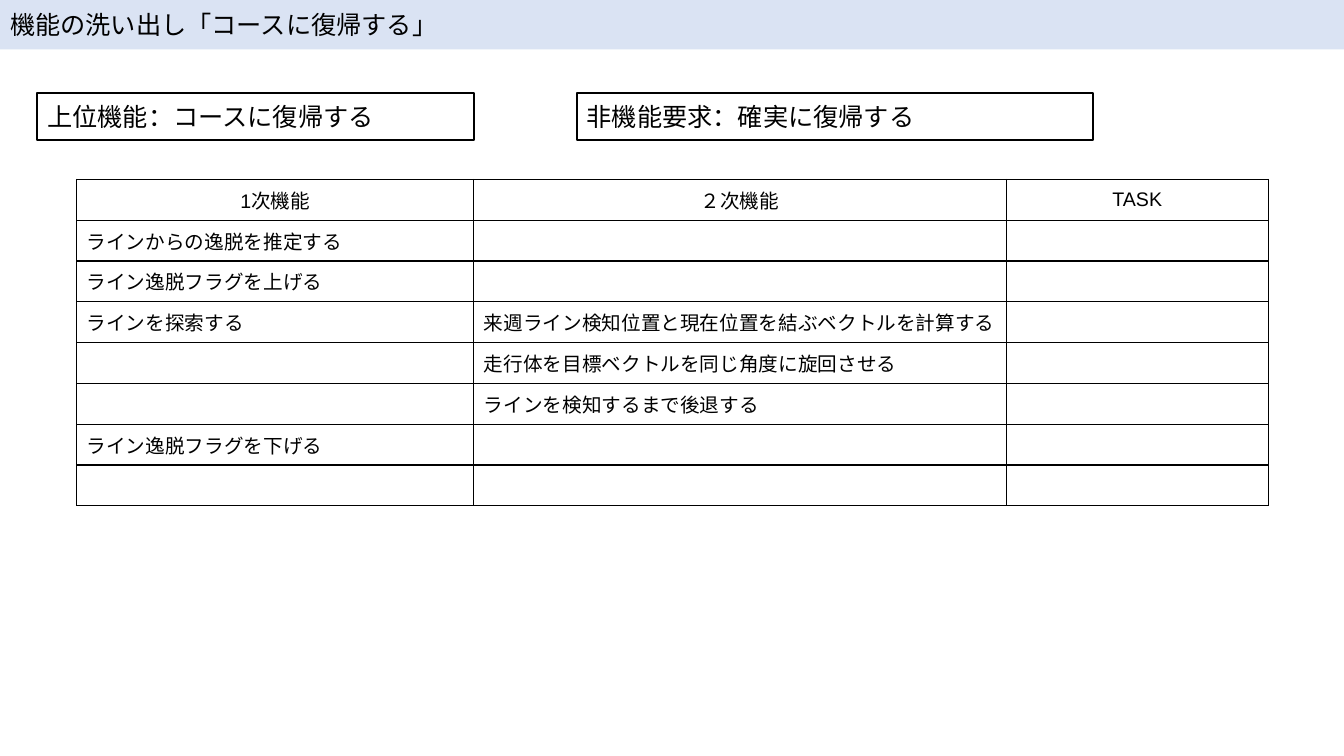
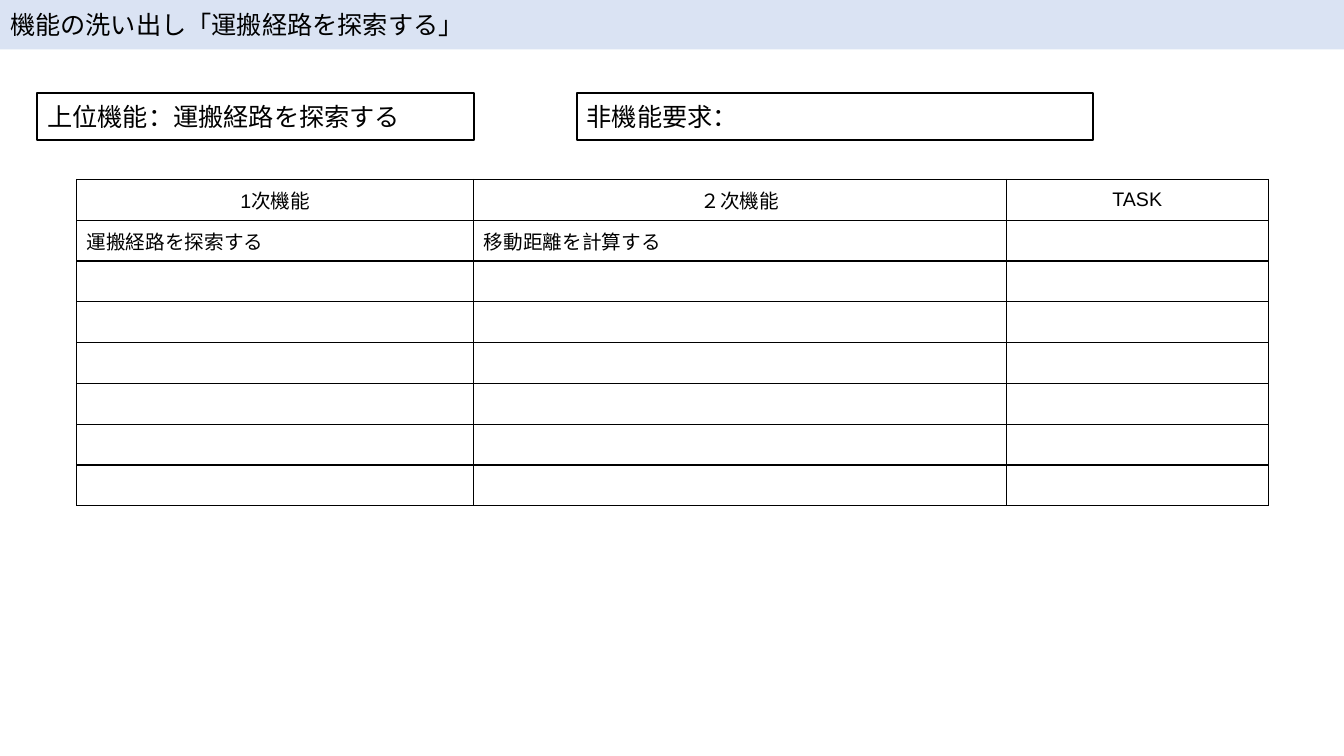
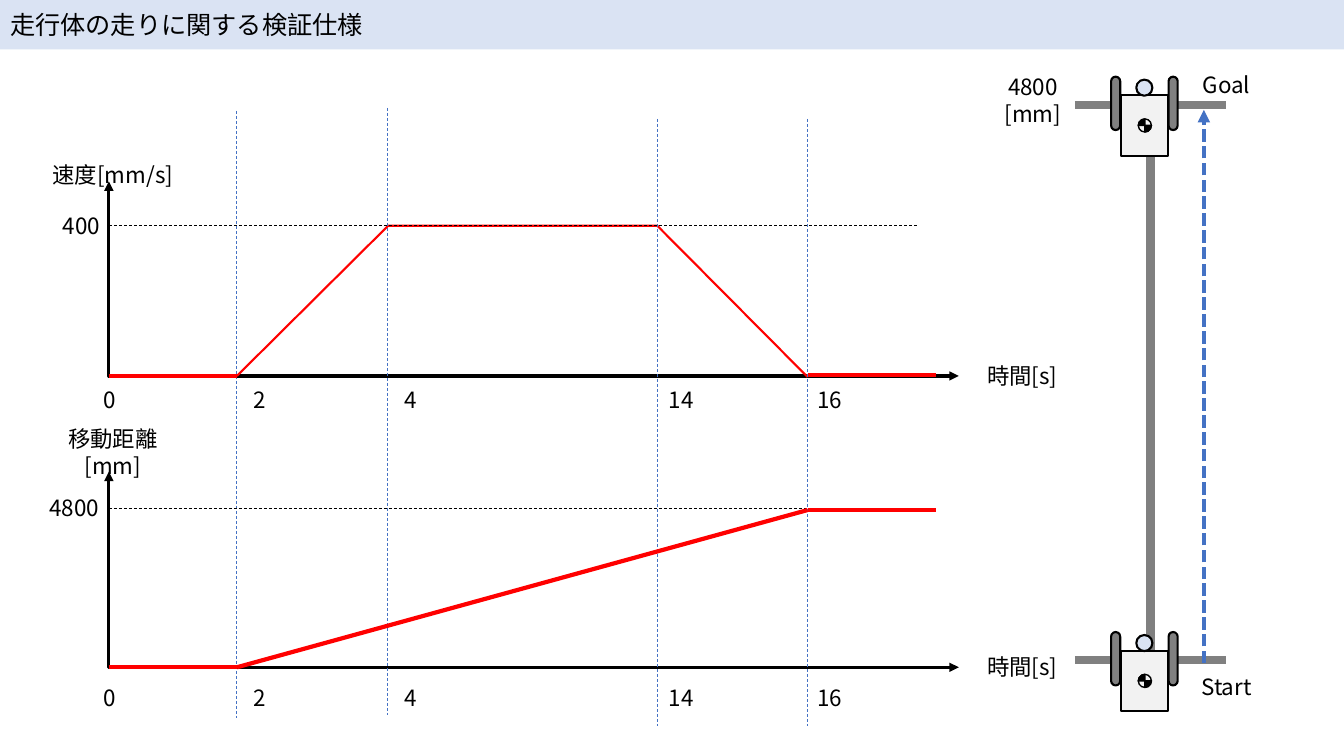
"""Build three slides: two function breakdown tables and a run verification chart."""
from lxml import etree
from pptx import Presentation
from pptx.dml.color import RGBColor
from pptx.enum import dml, shapes, text
from pptx.oxml import ns
from pptx.util import Inches, Pt

BLACK = RGBColor(0x00, 0x00, 0x00)
WHITE = RGBColor(0xFF, 0xFF, 0xFF)
PALE_BLUE = RGBColor(0xDA, 0xE3, 0xF3)
BLUE = RGBColor(0x44, 0x72, 0xC4)
RED = RGBColor(0xFF, 0x00, 0x00)
GRAY = RGBColor(0x80, 0x80, 0x80)
PALE_GRAY = RGBColor(0xF2, 0xF2, 0xF2)
JAPANESE_FONT = "Noto Sans CJK JP"
TABLE_FONT = "Arial"
LEFT, CENTER, RIGHT = text.PP_ALIGN.LEFT, text.PP_ALIGN.CENTER, text.PP_ALIGN.RIGHT
MIDDLE = text.MSO_ANCHOR.MIDDLE
DASH, SHORT_DASH = dml.MSO_LINE.DASH, dml.MSO_LINE.SQUARE_DOT


def write(frame, content, size, alignment=LEFT, font_name=JAPANESE_FONT):
    frame_format = {"word_wrap": True, "auto_size": text.MSO_AUTO_SIZE.NONE, "vertical_anchor": MIDDLE}
    for name, value in frame_format.items():
        setattr(frame, name, value)
    frame.text = content
    for paragraph in frame.paragraphs:
        paragraph.alignment = alignment
        for run in paragraph.runs:
            for name, value in {"size": Pt(size), "name": font_name}.items():
                setattr(run.font, name, value)
            run.font.color.rgb = BLACK
            etree.SubElement(run.font._element, ns.qn("a:ea"), typeface=JAPANESE_FONT)


def stroke(shape, color, width, dash=None, ends=()):
    shape.line.color.rgb = color
    shape.line.width = Pt(width)
    if dash:
        shape.line.dash_style = dash
    properties = shape._element.spPr
    for end in ends:
        etree.SubElement(properties.find(ns.qn("a:ln")), ns.qn(f"a:{end}"), type="triangle")
    etree.SubElement(properties, ns.qn("a:effectLst"))


presentation = Presentation()
presentation.slide_width = Inches(13.33)
presentation.slide_height = Inches(7.5)

titles = ["機能の洗い出し「コースに復帰する」", "機能の洗い出し「運搬経路を探索する」", "走行体の走りに関する検証仕様"]
title_box = {"left": 0, "top": 0, "width": Inches(13.33), "height": Inches(0.49)}
for title in titles:
    slide = presentation.slides.add_slide(presentation.slide_layouts[5])
    band = slide.shapes.title
    for name, value in title_box.items():
        setattr(band, name, value)
    band.fill.solid()
    band.fill.fore_color.rgb = PALE_BLUE
    write(band.text_frame, title, 18)

HEADER = ["1次機能", "２次機能", "TASK"]
ROW_COUNT = 8
COLUMN_WIDTHS = [3.94, 5.28, 2.6]
breakdowns = [
    ("上位機能：コースに復帰する", "非機能要求：確実に復帰する", [
        ["ラインからの逸脱を推定する"],
        ["ライン逸脱フラグを上げる"],
        ["ラインを探索する", "来週ライン検知位置と現在位置を結ぶベクトルを計算する"],
        ["", "走行体を目標ベクトルを同じ角度に旋回させる"],
        ["", "ラインを検知するまで後退する"],
        ["ライン逸脱フラグを下げる"],
    ]),
    ("上位機能：運搬経路を探索する", "非機能要求：", [["運搬経路を探索する", "移動距離を計算する"]]),
]
for slide, (function, requirement, rows) in zip(presentation.slides, breakdowns):
    frame = slide.shapes.add_table(
        ROW_COUNT, len(HEADER), Inches(0.76), Inches(1.78), Inches(sum(COLUMN_WIDTHS)), Inches(3.24))
    table = frame.table
    table.first_row = table.horz_banding = False
    for column, width in zip(table.columns, COLUMN_WIDTHS):
        column.width = Inches(width)
    contents = {(r, c): value for r, row in enumerate([HEADER] + rows) for c, value in enumerate(row)}
    for r in range(ROW_COUNT):
        for c in range(len(HEADER)):
            cell = table.cell(r, c)
            content = contents.get((r, c), "")
            write(cell.text_frame, content, 14, LEFT if r else CENTER, TABLE_FONT)
            if not content:
                etree.SubElement(cell.text_frame.paragraphs[0]._p, ns.qn("a:endParaRPr"), sz="1400")
            cell.vertical_anchor = MIDDLE
            cell_properties = cell._tc.get_or_add_tcPr()
            for side in ("lnL", "lnR", "lnT", "lnB"):
                border = etree.SubElement(cell_properties, ns.qn(f"a:{side}"), w=str(Pt(1)))
                border_fill = etree.SubElement(border, ns.qn("a:solidFill"))
                etree.SubElement(border_fill, ns.qn("a:srgbClr"), val=str(BLACK))
            cell.fill.solid()
            cell.fill.fore_color.rgb = WHITE
    for left, width, content in [(0.37, 4.33, function), (5.72, 5.12, requirement)]:
        box = slide.shapes.add_shape(
            shapes.MSO_SHAPE.RECTANGLE, Inches(left), Inches(0.92), Inches(width), Inches(0.47))
        box.fill.solid()
        box.fill.fore_color.rgb = WHITE
        stroke(box, BLACK, 1.5)
        write(box.text_frame, content, 18)

slide = presentation.slides[2]
AXIS_X, SPEED_Y, DISTANCE_Y = 1.08, 3.73, 6.62
both_ends = ("headEnd", "tailEnd")
polylines = [
    ([(AXIS_X, 1.8), (AXIS_X, SPEED_Y), (9.51, SPEED_Y)], BLACK, 2.25, both_ends),
    ([(AXIS_X, 4.68), (AXIS_X, DISTANCE_Y), (9.51, DISTANCE_Y)], BLACK, 2.25, both_ends),
    ([(2.35, SPEED_Y), (3.85, 2.24), (6.52, 2.24), (8.01, 3.74)], RED, 1.5, ()),
]
for points, color, width, ends in polylines:
    start, *others = [(Inches(x), Inches(y)) for x, y in points]
    builder = slide.shapes.build_freeform(*start)
    builder.add_line_segments(others, close=False)
    polyline = builder.convert_to_shape()
    polyline.fill.background()
    stroke(polyline, color, width, ends=ends)

time_marks = [(2.34, 1.1), (3.84, 1.07), (6.52, 1.18), (8.01, 1.18)]
lines = [(x, top, x, top + 6.02, BLUE, 0.5, DASH) for x, top in time_marks]
lines += [(AXIS_X, y, 9.11, y, BLACK, 0.5, DASH) for y in (2.24, 5.04)]
lines += [(*ends, RED, 3, None) for ends in [
    (AXIS_X, SPEED_Y, 2.35, SPEED_Y),
    (8.01, 3.72, 9.28, 3.72),
    (AXIS_X, DISTANCE_Y, 2.35, DISTANCE_Y),
    (2.35, DISTANCE_Y, 8.01, 5.06),
    (8.01, 5.06, 9.28, 5.06),
]]
lines += [(*ends, GRAY, 6, None) for ends in [
    (11.41, 6.58, 11.41, 1.03), (10.66, 6.55, 12.16, 6.55), (10.66, 1.04, 12.16, 1.04)]]
lines.append((11.94, 6.58, 11.94, 1.09, BLUE, 3, SHORT_DASH))
for x1, y1, x2, y2, color, width, dash in lines:
    line = slide.shapes.add_connector(
        shapes.MSO_CONNECTOR.STRAIGHT, Inches(x1), Inches(y1), Inches(x2), Inches(y2))
    stroke(line, color, width, dash, ("tailEnd",) if dash == SHORT_DASH else ())

RECTANGLE, PIE = shapes.MSO_SHAPE.RECTANGLE, shapes.MSO_SHAPE.PIE
WHEEL, SENSOR = shapes.MSO_SHAPE.ROUNDED_RECTANGLE, shapes.MSO_SHAPE.OVAL
robot_parts = [
    (RECTANGLE, 11.05, 0.25, 0.6, 0.47, 270, PALE_GRAY, 1.5, []),
    (PIE, 11.29, 0.42, 0.13, 0.13, 270, BLACK, 1, [0, 54.36]),
    (PIE, 11.29, 0.42, 0.13, 0.13, 270, None, 1, [0, 215.83]),
    (PIE, 11.29, 0.42, 0.13, 0.13, 90, BLACK, 1, [0, 54.36]),
    (WHEEL, 11.02, 0, 0.09, 0.53, 180, GRAY, 1.5, [0.5]),
    (WHEEL, 11.59, 0, 0.09, 0.53, 180, GRAY, 1.5, [0.5]),
    (SENSOR, 11.27, 0.03, 0.16, 0.16, 270, PALE_BLUE, 1.5, []),
]
for robot_top in (6.27, 0.76):
    for kind, left, offset, width, height, rotation, fill, weight, adjustments in robot_parts:
        part = slide.shapes.add_shape(
            kind, Inches(left), Inches(robot_top + offset), Inches(width), Inches(height))
        part.rotation = rotation
        part._element.spPr.find(ns.qn("a:xfrm")).set("flipH", "1")
        for index, value in enumerate(adjustments):
            part.adjustments[index] = value
        if fill is None:
            part.fill.background()
        else:
            part.fill.solid()
            part.fill.fore_color.rgb = fill
        stroke(part, BLACK, weight)

time_labels = [(0.85, 0.47, "0"), (2.34, 0.47, "2"), (3.84, 0.47, "4"), (6.52, 0.47, "14"), (7.89, 0.68, "16")]
labels = [(left, top, width, label, CENTER) for top in (3.73, 6.69) for left, width, label in time_labels]
labels += [
    (9.51, 3.49, 1.26, "時間[s]", CENTER),
    (9.51, 6.38, 1.26, "時間[s]", CENTER),
    (0.37, 1.5, 1.5, "速度[mm/s]", CENTER),
    (0.37, 4.25, 1.5, "移動距離[mm]", CENTER),
    (0.22, 2, 0.87, "400", RIGHT),
    (0.21, 4.8, 0.87, "4800", RIGHT),
    (11.75, 6.58, 0.83, "Start", CENTER),
    (11.75, 0.6, 0.83, "Goal", CENTER),
    (9.82, 0.76, 0.85, "4800\n[mm]", CENTER),
]
for left, top, width, label, alignment in labels:
    label_box = slide.shapes.add_textbox(Inches(left), Inches(top), Inches(width), Inches(0.47))
    write(label_box.text_frame, label, 16, alignment)

presentation.save("out.pptx")
